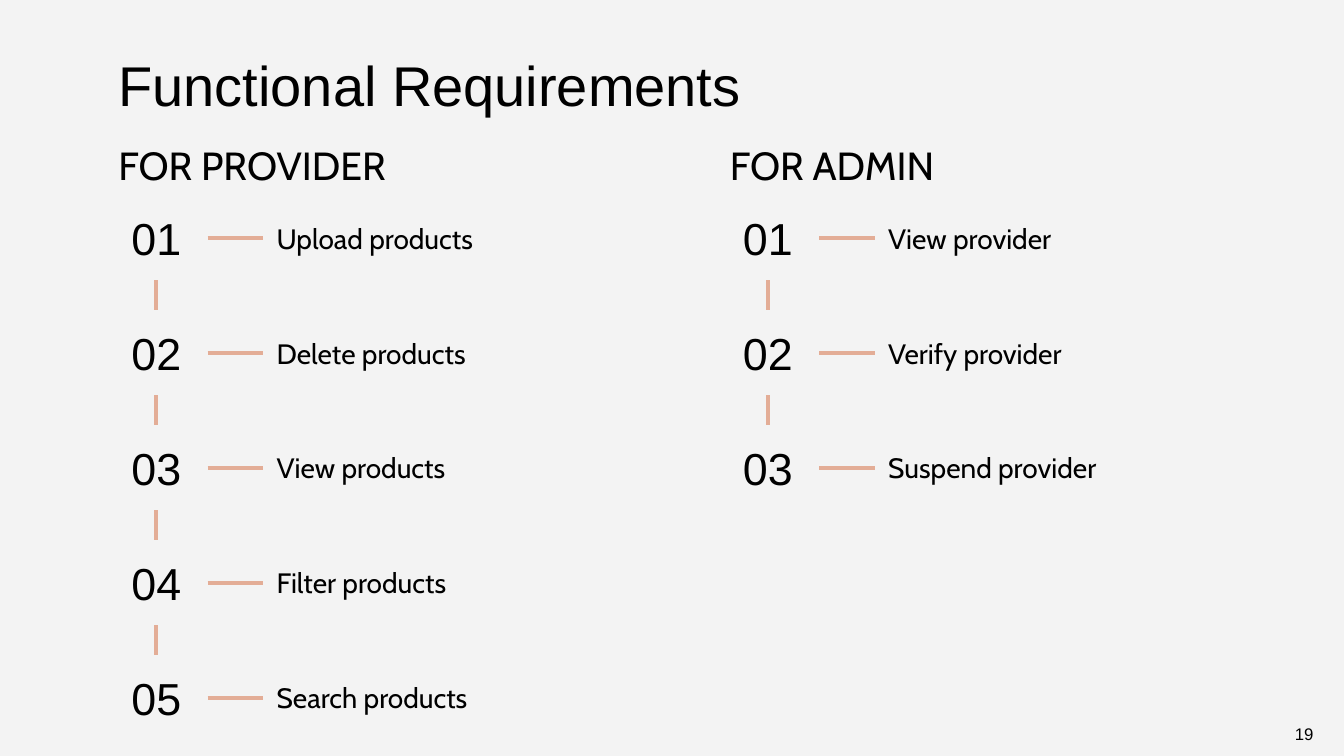
from lxml import etree
from pptx import Presentation
from pptx.dml.color import RGBColor
from pptx.enum.shapes import MSO_CONNECTOR
from pptx.enum.text import MSO_ANCHOR, MSO_AUTO_SIZE, PP_ALIGN
from pptx.oxml.ns import qn
from pptx.util import Pt

STRAIGHT = MSO_CONNECTOR.STRAIGHT
TOP, MIDDLE = MSO_ANCHOR.TOP, MSO_ANCHOR.MIDDLE
LEFT, CENTER, RIGHT = PP_ALIGN.LEFT, PP_ALIGN.CENTER, PP_ALIGN.RIGHT
NO_FIT = MSO_AUTO_SIZE.NONE

BLACK = RGBColor(0x00, 0x00, 0x00)
PEACH = RGBColor(0xE3, 0xAD, 0x96)
PALE_GREY = RGBColor(0xF3, 0xF3, 0xF3)

FIRST_ROW_TOP = 139.7
ROW_HEIGHT = 60.5
ROW_PITCH = 82.1
NUMBER_WIDTH = 73.4
LABEL_OFFSET = 113
LABEL_WIDTH = 205

REQUIREMENTS = [
    (75, "FOR PROVIDER", ["Upload products", "Delete products", "View products",
                          "Filter products", "Search products"]),
    (511.8, "FOR ADMIN", ["View provider", "Verify provider", "Suspend provider"]),
]


def write_text(shape, text, size, font="Cabin", align=LEFT, anchor=MIDDLE, inset=9.6):
    frame = shape.text_frame
    frame.word_wrap = True
    frame.auto_size = NO_FIT
    frame.vertical_anchor = anchor
    frame.margin_left = frame.margin_right = Pt(inset)
    frame.margin_top = frame.margin_bottom = Pt(inset)
    para = frame.paragraphs[0]
    para.alignment = align
    span = para.add_run()
    span.text = text
    span.font.name = font
    span.font.size = Pt(size)
    span.font.color.rgb = BLACK


def add_text(slide, left, top, width, height, text, **text_format):
    box = slide.shapes.add_textbox(Pt(left), Pt(top), Pt(width), Pt(height))
    write_text(box, text, **text_format)


def add_title(slide, text):
    title = slide.shapes.title
    title.left, title.top = Pt(75), Pt(26.8)
    title.width, title.height = Pt(810), Pt(60.5)
    write_text(title, text, size=40, font="Arial", anchor=TOP)


def add_line(slide, x1, y1, x2, y2):
    line = slide.shapes.add_connector(STRAIGHT, Pt(x1), Pt(y1), Pt(x2), Pt(y2))
    line.line.color.rgb = PEACH
    line.line.width = Pt(3)
    etree.SubElement(line._element.spPr, qn("a:effectLst"))


def add_requirement_list(slide, left, heading, labels):
    """Add a heading and its numbered rows, joined by short lines."""
    add_text(slide, left, 91.4, 250, 39.6, heading, size=28, anchor=TOP)
    number_right = left + NUMBER_WIDTH
    number_center = left + NUMBER_WIDTH / 2
    label_left = left + LABEL_OFFSET
    for index, label in enumerate(labels):
        top = FIRST_ROW_TOP + index * ROW_PITCH
        middle = top + ROW_HEIGHT / 2
        add_text(slide, left, top, NUMBER_WIDTH, ROW_HEIGHT, f"{index + 1:02}",
                 size=32, font="Arial", align=CENTER)
        add_line(slide, number_right, middle, label_left, middle)
        add_text(slide, label_left, top, LABEL_WIDTH, ROW_HEIGHT, label, size=20)
        if index > 0:
            add_line(slide, number_center, top - ROW_PITCH + ROW_HEIGHT, number_center, top)


def main():
    deck = Presentation()
    deck.slide_width, deck.slide_height = Pt(960), Pt(540)
    slide = deck.slides.add_slide(deck.slide_layouts[5])
    slide.background.fill.solid()
    slide.background.fill.fore_color.rgb = PALE_GREY

    add_title(slide, "Functional Requirements")
    for left, heading, labels in REQUIREMENTS:
        add_requirement_list(slide, left, heading, labels)
    add_text(slide, 729.4, 509.8, 216, 28.8, "19",
             size=12, font="Arial", align=RIGHT, inset=7.2)
    deck.save("out.pptx")


if __name__ == "__main__":
    main()
